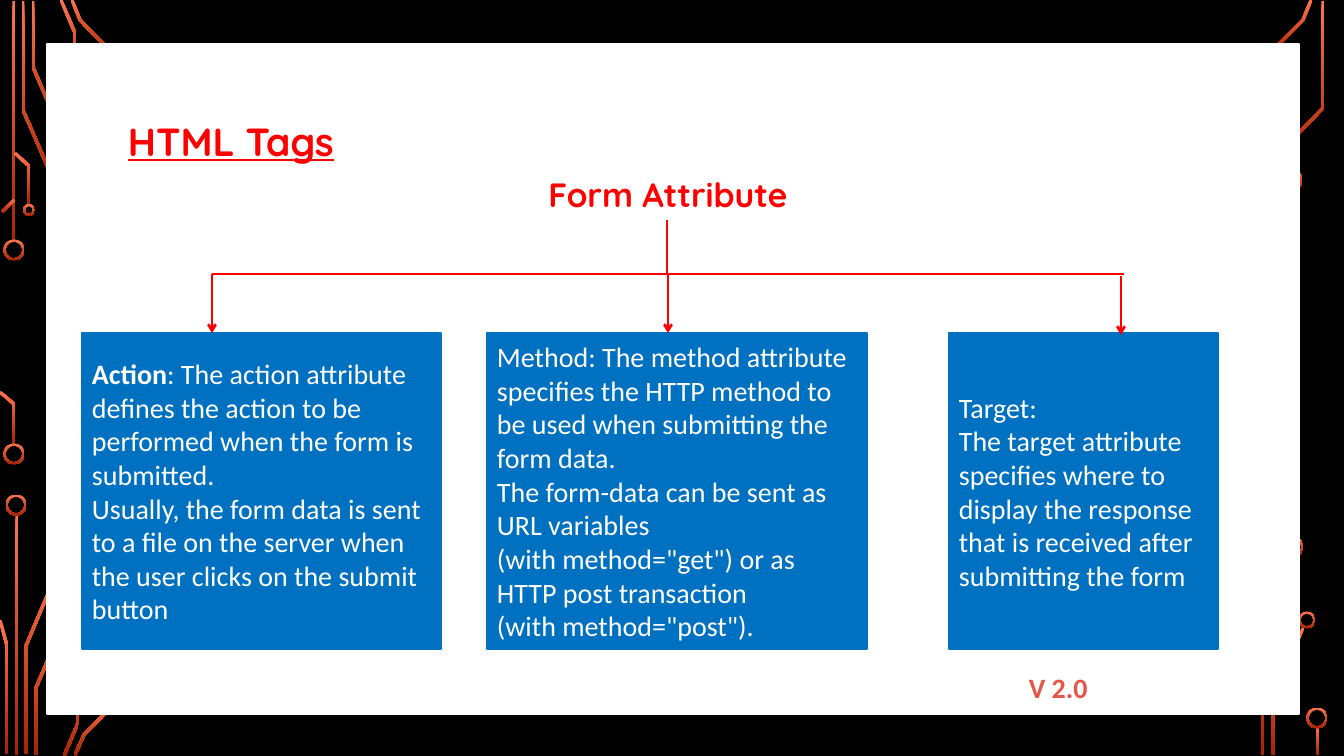
from math import hypot
from pptx import Presentation
from pptx.dml.color import RGBColor
from pptx.enum.shapes import MSO_CONNECTOR, MSO_SHAPE
from pptx.enum.text import MSO_ANCHOR, PP_ALIGN
from pptx.oxml.ns import qn
from pptx.util import Pt
from lxml.etree import SubElement

SCALE = 914400 / 100.8  # EMU in one px
WIDE = 3  # px, width of a circuit trace
RED, BLUE, WHITE = "FF0000", "0070C0", "FFFFFF"
HEAD = {"name": "Quicksand", "bold": True}
BODY = {"name": "Calibri", "size": Pt(20)}

# Circuit traces as centre lines, and rings as centre x, centre y, diameter
TRACES = [
    # top left
    [(14, 1), (14, 242)],
    [(23, 1), (23, 110), (62, 200)],
    [(33, 1), (33, 67), (72, 158)],
    [(61, 0), (75, 33), (75, 101)],
    [(72, 0), (80, 20), (116, 57)],
    [(14, 200), (2, 212)],
    [(0, 392), (14, 404), (14, 444)],
    [(15, 153), (29, 166), (29, 205)],
    # bottom left
    [(17, 514), (17, 755)],
    [(64, 556), (26, 646), (26, 754)],
    [(0, 620), (7, 646), (7, 754)],
    [(74, 598), (36, 688), (36, 755)],
    [(78, 655), (78, 723), (64, 756)],
    [(119, 699), (84, 735), (75, 755)],
    # right
    [(1311, 0), (1303, 20), (1267, 56)],
    [(1303, 628), (1273, 699), (1273, 755)],
    [(1323, 1), (1323, 108), (1293, 139), (1293, 170)],
    [(1293, 556), (1293, 588), (1262, 618), (1262, 755)],
    [(1318, 727), (1318, 755)],
]
RINGS = [
    (14, 250, 21), (14, 454, 21), (29, 210, 12), (16, 505, 21),
    (1292, 180, 21), (1307, 620, 17), (1293, 547, 21), (1317, 718, 21),
]

# Cards: left, width, arrow x, arrow drop, paragraphs of (text, bold); ~ is a no-break space
CARDS = [
    (0, 359, 130, 0, [
        [("Action", True),
         (": The~action~attribute defines the action to be performed "
          "when the form is submitted.", False)],
        [("Usually, the form data is sent to a file on the server when "
          "the user clicks on the submit button", False)]]),
    (405, 380, 586, 0, [
        [("Method: The~method~attribute specifies the HTTP method to be "
          "used when submitting the form data.", False)],
        [('The form-data can be sent as URL variables (with~method="get") '
          'or as HTTP post transaction (with~method="post").', False)]]),
    (867, 269, 1039, 2, [
        [("Target: The~target~attribute specifies where to display the "
          "response that is received after submitting the form", False)]]),
]


def px(*nums):
    return [round(n * SCALE) for n in nums]


def color(code):
    return RGBColor.from_string(code)


def style(item, vals):
    for key, val in vals.items():
        setattr(item, key, val)


def write(para, text, tint, vals):
    run = para.add_run()
    run.text = text.replace("~", chr(160))
    style(run.font, vals)
    run.font.color.rgb = color(tint)


def block(slide, kind, box, tint):
    shape = slide.shapes.add_shape(kind, *px(*box))
    shape.shadow.inherit = False
    shape.fill.solid()
    shape.fill.fore_color.rgb = color(tint)
    shape.line.color.rgb = color(tint)
    shape.line.width = Pt(1.25)
    return shape


def label(slide, box, text, tint, vals, align=PP_ALIGN.LEFT):
    frame = slide.shapes.add_textbox(*px(*box)).text_frame
    frame.word_wrap = True
    para = frame.paragraphs[0]
    para.alignment = align
    write(para, text, tint, vals)


def wire(slide, start, end, arrow=False):
    line = slide.shapes.add_connector(MSO_CONNECTOR.STRAIGHT, *px(*start, *end))
    line.line.color.rgb = color(RED)
    line.line.width = Pt(1.75)
    if arrow:
        SubElement(line.line._get_or_add_ln(), qn("a:tailEnd"), type="arrow")
    SubElement(line._element.spPr, qn("a:effectLst"))


def glow(shape):
    shape.shadow.inherit = False
    shape.line.fill.background()
    shape.fill.gradient()
    shape.fill.gradient_angle = 270
    for stop, tint in zip(shape.fill.gradient_stops, ("FF744E", "A62400")):
        stop.color.rgb = color(tint)


def ribbon(line):
    """Outline of a centre line that is WIDE px across, with mitred bends."""
    norms = []
    for (ax, ay), (bx, by) in zip(line, line[1:]):
        size = hypot(bx - ax, by - ay)
        norms.append(((ay - by) / size, (bx - ax) / size))
    left, right = [], []
    for (x, y), (ux, uy), (vx, vy) in zip(line, norms[:1] + norms, norms + norms[-1:]):
        reach = WIDE / 2 / (1 + ux * vx + uy * vy)
        dx, dy = (ux + vx) * reach, (uy + vy) * reach
        left.append(px(x + dx, y + dy))
        right.append(px(x - dx, y - dy))
    return left + right[::-1]


def circuit(slide, box):
    x, y = box[:2]
    for line in TRACES:
        first, *rest = ribbon([(x + a, y + b) for a, b in line])
        form = slide.shapes.build_freeform(*first)
        form.add_line_segments(rest)
        glow(form.convert_to_shape())
    for a, b, size in RINGS:
        spot = px(x + a - size / 2, y + b - size / 2, size, size)
        ring = slide.shapes.add_shape(MSO_SHAPE.DONUT, *spot)
        ring.adjustments[0] = 2 / size
        glow(ring)


def panel(slide, box):
    x, y, wide, high = box
    block(slide, MSO_SHAPE.RECTANGLE, box, WHITE)
    label(slide, (x + 71, y + 68, wide - 152, 57), "HTML Tags", RED,
          {**HEAD, "size": Pt(28), "underline": True})
    label(slide, (x + 972, y + high - 48, 199, 44), "V 2.0", "E55548",
          {**BODY, "bold": True})


def card(slide, box, paras):
    shape = block(slide, MSO_SHAPE.FLOWCHART_PROCESS, box, BLUE)
    frame = shape.text_frame
    style(frame, {"word_wrap": True, "vertical_anchor": MSO_ANCHOR.MIDDLE})
    for num, runs in enumerate(paras):
        para = frame.add_paragraph() if num else frame.paragraphs[0]
        para.alignment = PP_ALIGN.LEFT
        for text, bold in runs:
            write(para, text, WHITE, {**BODY, "bold": bold})


def tree(slide, box):
    x, y, wide, high = box
    bar, top, mid = y + 105, y + 164, x + 585
    label(slide, (x + 36, y, wide - 36, 50), "Form Attribute", RED,
          {**HEAD, "size": Pt(24)}, PP_ALIGN.CENTER)
    # Trunk and both halves of the bar
    for start in ((mid, y + 51), (x + 130, bar), (x + 1042, bar)):
        wire(slide, start, (mid, bar))
    # Cards with their arrows
    for left, span, tip, drop, paras in CARDS:
        card(slide, (x + left, top, span, y + high - top), paras)
        wire(slide, (x + tip, bar + drop), (x + tip, top + drop), True)


def main():
    deck = Presentation()
    style(deck, dict(zip(("slide_width", "slide_height"), px(1344, 756))))
    slide = deck.slides.add_slide(deck.slide_layouts[6])
    slide.background.fill.solid()
    slide.background.fill.fore_color.rgb = color("000000")
    circuit(slide, (0, 0, 1344, 756))
    panel(slide, (47, 44, 1252, 670))
    tree(slide, (82, 169, 1136, 480))
    deck.save("out.pptx")


if __name__ == "__main__":
    main()
